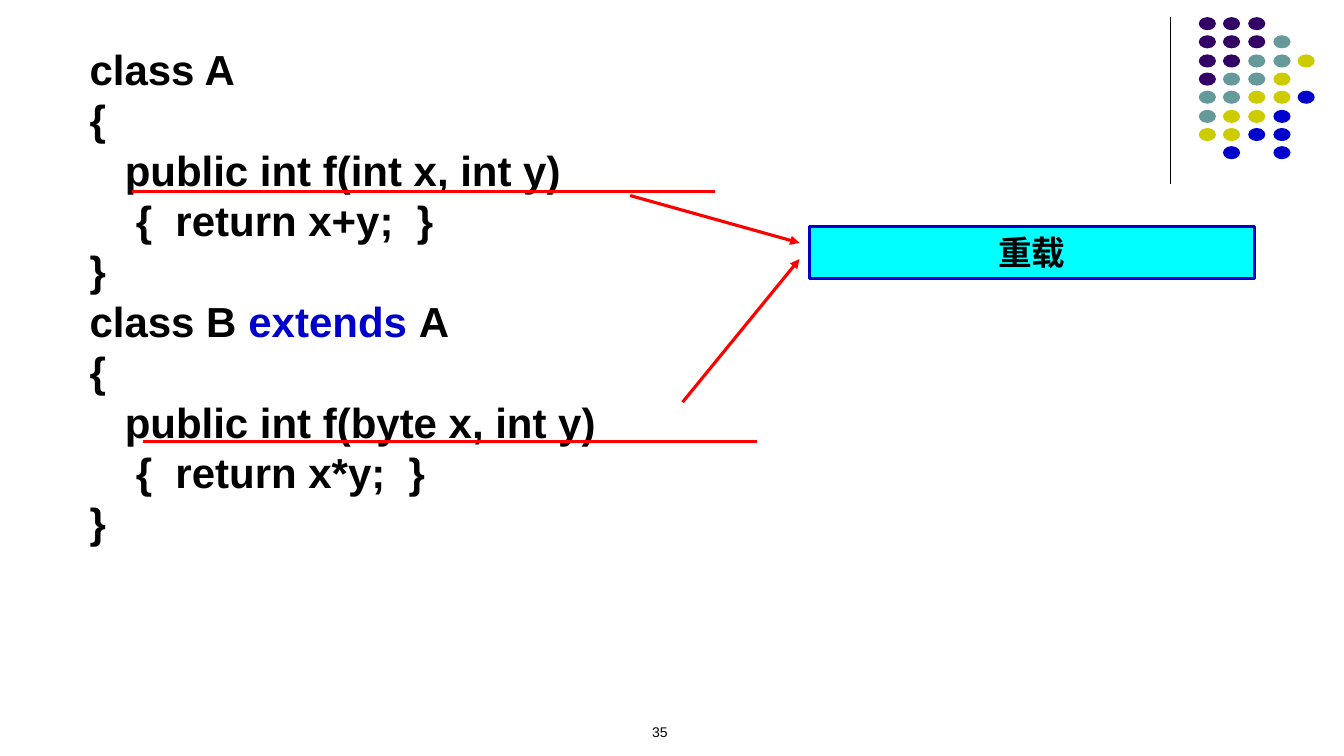
from lxml.etree import SubElement
from pptx import Presentation
from pptx.dml.color import RGBColor
from pptx.enum.shapes import MSO_CONNECTOR as Connector, MSO_SHAPE as Shape
from pptx.enum.text import MSO_ANCHOR as Anchor, PP_ALIGN as Align
from pptx.oxml.ns import qn
from pptx.util import Emu, Pt

PX = 9144  # 100 px to the inch
BLACK, BLUE, RED, CYAN = "000000", "0000CC", "FF0000", "00FFFF"

DOT_COLORS = {"P": "330066", "T": "669999", "Y": "CCCC00", "B": BLUE}
DOT_ROWS = ["PPP", "PPPT", "PPTTY", "PTTY", "TTYYB", "TYYB", "YYBB", " B B"]

# Each line: left indent in px, then (text, color) spans
CODE = [
    (0, [("class A", BLACK)]),
    (0, [("{", BLACK)]),
    (35, [("public int f(int x, int y)", BLACK)]),
    (46, [("{  return x+y;  }", BLACK)]),
    (0, [("}", BLACK)]),
    (0, [("class B ", BLACK), ("extends ", BLUE), ("A", BLACK)]),
    (0, [("{", BLACK)]),
    (35, [("public int f(byte x, int y)", BLACK)]),
    (46, [("{  return x*y;  }", BLACK)]),
    (0, [("}", BLACK)]),
]


def px(length):
    return Emu(length * PX)


def color(value):
    return RGBColor.from_string(value)


def add_span(para, text, size=10, bold=False, ink=BLACK):
    span = para.add_run()
    span.text = text
    span.font.name = "Arial"
    span.font.size = Pt(size)
    span.font.bold = bold
    span.font.color.rgb = color(ink)


def add_frame(page, box):
    frame = page.shapes.add_textbox(*map(px, box)).text_frame
    frame.word_wrap = True
    return frame


def add_shape(page, kind, box, fill, outline=None):
    shape = page.shapes.add_shape(kind, *map(px, box))
    shape.shadow.inherit = False
    shape.fill.solid()
    shape.fill.fore_color.rgb = color(fill)
    if outline:
        shape.line.color.rgb = color(outline)
        shape.line.width = Pt(2.25)
    else:
        shape.line.fill.background()
    return shape


def add_line(page, start, end, ink=RED, width=2.25, arrow=False):
    line = page.shapes.add_connector(Connector.STRAIGHT, *map(px, start + end))
    line.line.color.rgb = color(ink)
    line.line.width = Pt(width)
    if arrow:
        SubElement(line.line._get_or_add_ln(), qn("a:tailEnd"), type="triangle")
    SubElement(line._element.spPr, qn("a:effectLst"))


def corner_motif(page, left, top):
    # Vertical rule beside a grid of dots
    add_line(page, (left, top), (left, top + 166), ink=BLACK, width=0.75)
    for row, letters in enumerate(DOT_ROWS):
        for column, letter in enumerate(letters):
            if letter in DOT_COLORS:
                box = (left + 28 + round(column * 24.5),
                       top + round(row * 18.3), 17, 13)
                add_shape(page, Shape.OVAL, box, DOT_COLORS[letter])


def code_listing(page, left, top, width, height):
    frame = add_frame(page, (left, top, width, height))
    for number, (indent, spans) in enumerate(CODE):
        para = frame.add_paragraph() if number else frame.paragraphs[0]
        para.line_spacing = Pt(36)
        para._p.get_or_add_pPr().set("marL", str(px(indent)))
        for text, ink in spans:
            add_span(para, text, size=30, bold=True, ink=ink)
    # Underlines below the two method signatures
    add_line(page, (left + 52, top + 152), (left + 630, top + 152))
    add_line(page, (left + 63, top + 400), (left + 672, top + 400))


def overload_label(page, left, top, width, height):
    label = add_shape(page, Shape.RECTANGLE, (left, top, width, height),
                      CYAN, outline=BLUE)
    label.text_frame.vertical_anchor = Anchor.MIDDLE
    para = label.text_frame.paragraphs[0]
    para.alignment = Align.CENTER
    add_span(para, "重载", size=24, bold=True)
    # Arrows from both signatures
    add_line(page, (left - 178, top - 31), (left - 10, top + 16), arrow=True)
    add_line(page, (left - 126, top + 174), (left - 10, top + 32), arrow=True)


def page_number(page, left, top, width, height):
    para = add_frame(page, (left, top, width, height)).paragraphs[0]
    para.alignment = Align.CENTER
    add_span(para, "35")


def main():
    deck = Presentation()
    deck.slide_width, deck.slide_height = px(1333), px(750)
    page = deck.slides.add_slide(deck.slide_layouts[6])
    corner_motif(page, 1161, 17)
    page_number(page, 499, 713, 311, 50)
    code_listing(page, 79, 38, 1200, 640)
    overload_label(page, 803, 225, 441, 51)
    deck.save("out.pptx")


if __name__ == "__main__":
    main()
